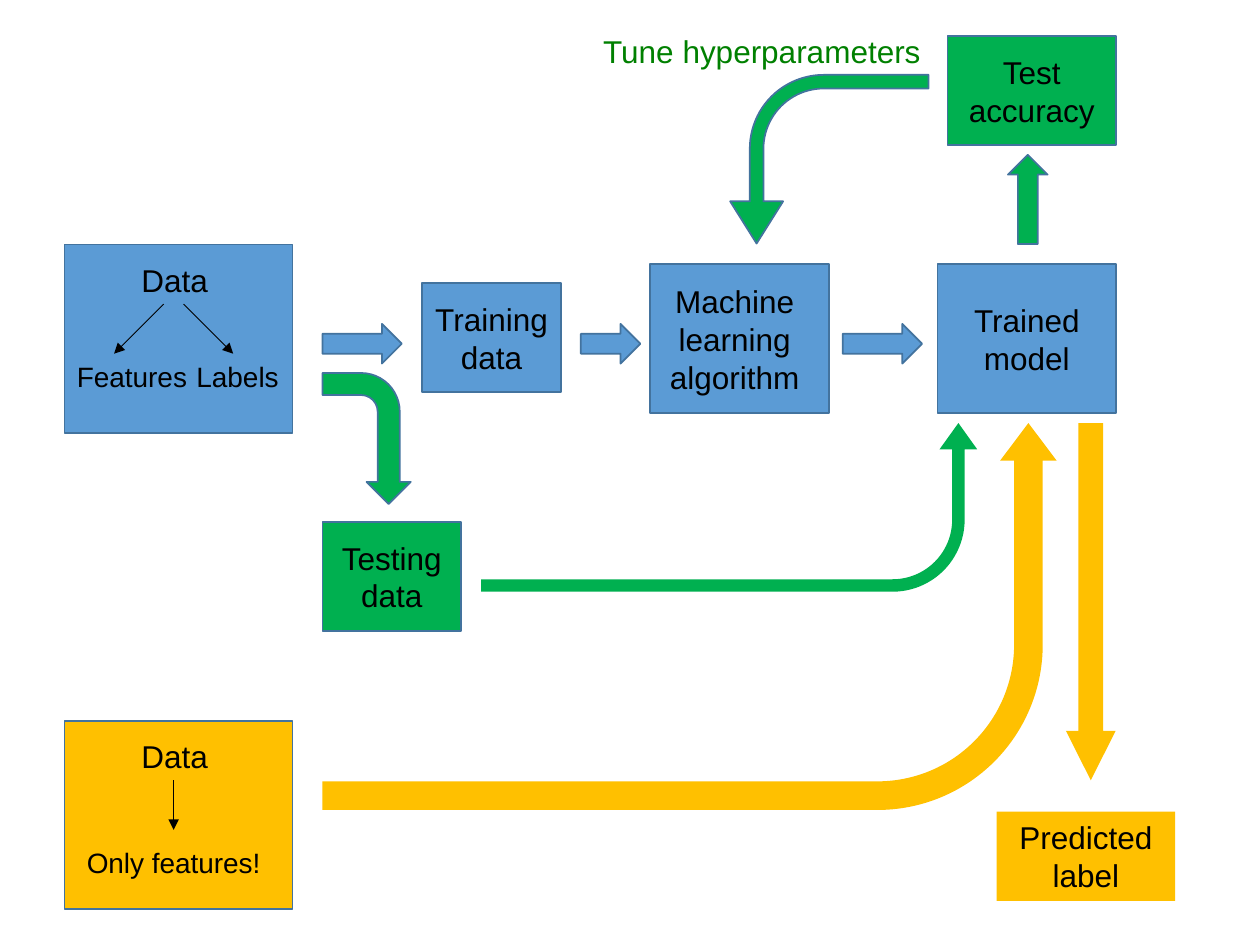
from pptx import Presentation
from pptx.dml.color import RGBColor
from pptx.enum.shapes import MSO_CONNECTOR as Link, MSO_SHAPE as Kind
from pptx.enum.text import MSO_ANCHOR as Anchor, PP_ALIGN as Align
from pptx.oxml.ns import qn
from pptx.oxml.xmlchemy import OxmlElement as Node
from pptx.util import Cm, Pt

BLUE, GREEN, GOLD, EDGE = "5B9BD5", "00B050", "FFC000", "43739E"


def tint(code):
    """Turn a hex string into a colour."""
    return RGBColor.from_string(code)


def write(frame, text, size=18, color="000000", align=Align.LEFT, anchor=Anchor.TOP):
    """Fill a text frame, one paragraph for each line of text."""
    frame.word_wrap = True
    frame.vertical_anchor = anchor
    for i, line in enumerate(text.split("\n")):
        para = frame.add_paragraph() if i else frame.paragraphs[0]
        para.alignment = align
        run = para.add_run()
        run.text = line
        run.font.name, run.font.size = "Arial", Pt(size)
        run.font.color.rgb = tint(color)


def label(slide, box, text, **form):
    """Place free text in a box."""
    write(slide.shapes.add_textbox(*map(Cm, box)).text_frame, text, **form)


def draw(slide, kind, box, color, edge=EDGE):
    """Place a filled preset shape."""
    shape = slide.shapes.add_shape(kind, *map(Cm, box))
    shape.shadow.inherit = False
    shape.fill.solid()
    shape.fill.fore_color.rgb = tint(color)
    if edge:
        shape.line.color.rgb = tint(edge)
        shape.line.width = Pt(1)
    else:
        shape.line.fill.background()
    return shape


def step(slide, box, color, text, edge=EDGE, right=0.25):
    """Place one stage of the flow with its centred name."""
    frame = draw(slide, Kind.RECTANGLE, box, color, edge).text_frame
    frame.margin_right = Cm(right)
    write(frame, text, align=Align.CENTER, anchor=Anchor.MIDDLE)


def arrow(slide, kind, box, color, edge=EDGE, turn=0, flip=False, adj=()):
    """Place a block arrow so that it fills the box after its turn."""
    x, y, w, h = box
    if turn % 180:
        x, y, w, h = x + (w - h) / 2, y + (h - w) / 2, h, w
    shape = draw(slide, kind, (x, y, w, h), color, edge)
    shape.rotation = turn
    for i, value in enumerate(adj):
        shape.adjustments[i] = value
    if flip:
        shape._element.spPr.find(qn("a:xfrm")).set("flipV", "1")


def branch(slide, start, end):
    """Draw a thin line with an arrowhead at its end."""
    line = slide.shapes.add_connector(Link.STRAIGHT, *map(Cm, start + end))
    line.line.color.rgb = tint("000000")
    line.line.width = Pt(0.5)
    head = Node("a:tailEnd")
    head.set("type", "triangle")
    line.line._get_or_add_ln().append(head)
    line._element.spPr.append(Node("a:effectLst"))


def panel(slide, x, y, color, parts, lines):
    """Place a data panel with its branches and their names."""
    draw(slide, Kind.RECTANGLE, (x, y, 4.6, 3.8), color)
    label(slide, (x + 1.3, y + 0.2, 2.6, 1), "Data")
    for start, end in lines:
        branch(slide, (x + start, y + 1.2), (x + end, y + 2.2))
    for left, top, wide, text in parts:
        label(slide, (x + left, y + top, wide, 0.94), text, size=16)


def inputs(slide):
    """Place both data panels."""
    panel(slide, 1.3, 4.93, BLUE,
          [(0, 2.2, 2.8, "Features"), (2.41, 2.2, 2.8, "Labels")],
          [(2, 1), (2.4, 3.4)])
    panel(slide, 1.3, 14.53, GOLD, [(0.2, 2.4, 4.6, "Only features!")], [(2.2, 2.2)])


def train(slide):
    """Place the blue training row."""
    step(slide, (8.51, 5.71, 2.8, 2.2), BLUE, "Training data")
    step(slide, (13.11, 5.33, 3.6, 3), BLUE, "Machine learning algorithm", right=0.45)
    step(slide, (18.9, 5.33, 3.6, 3), BLUE, "Trained\nmodel")
    for x, wide in (6.5, 1.6), (11.71, 1.2), (16.99, 1.6):
        arrow(slide, Kind.RIGHT_ARROW, (x, 6.53, wide, 0.8), BLUE)


def test(slide):
    """Place the green testing loop."""
    step(slide, (6.5, 10.52, 2.8, 2.2), GREEN, "Testing data")
    step(slide, (19.1, 0.73, 3.4, 2.2), GREEN, "Test accuracy")
    arrow(slide, Kind.BENT_ARROW, (6.5, 7.52, 1.78, 2.64), GREEN, turn=90)
    arrow(slide, Kind.BENT_ARROW, (9.7, 8.53, 10, 3.4), GREEN, edge=None,
          turn=270, flip=True, adj=(0.074, 0.112, 0.156, 0.427))
    arrow(slide, Kind.RIGHT_ARROW, (20.32, 3.12, 0.8, 1.8), GREEN, turn=270)
    arrow(slide, Kind.BENT_ARROW, (14.72, 1.51, 4, 3.4), GREEN,
          turn=90, flip=True, adj=(0.081, 0.157, 0.25, 0.438))
    label(slide, (11.91, 0.53, 7.2, 1), "Tune hyperparameters", color="008000")


def predict(slide):
    """Place the gold prediction route."""
    arrow(slide, Kind.BENT_ARROW, (6.5, 8.53, 14.8, 7.8), GOLD, edge=None,
          turn=270, flip=True, adj=(0.074, 0.073, 0.097, 0.427))
    arrow(slide, Kind.DOWN_ARROW, (21.49, 8.53, 1, 7.2), GOLD, edge=None,
          adj=(0.5, 0.994))
    step(slide, (20.09, 16.36, 3.6, 1.8), GOLD, "Predicted\nlabel", edge=None)


def main():
    """Build and save the slide."""
    deck = Presentation()
    deck.slide_width, deck.slide_height = Cm(25.4), Cm(19.05)
    slide = deck.slides.add_slide(deck.slide_layouts[6])
    for region in inputs, train, predict, test:
        region(slide)
    deck.save("out.pptx")


main()
